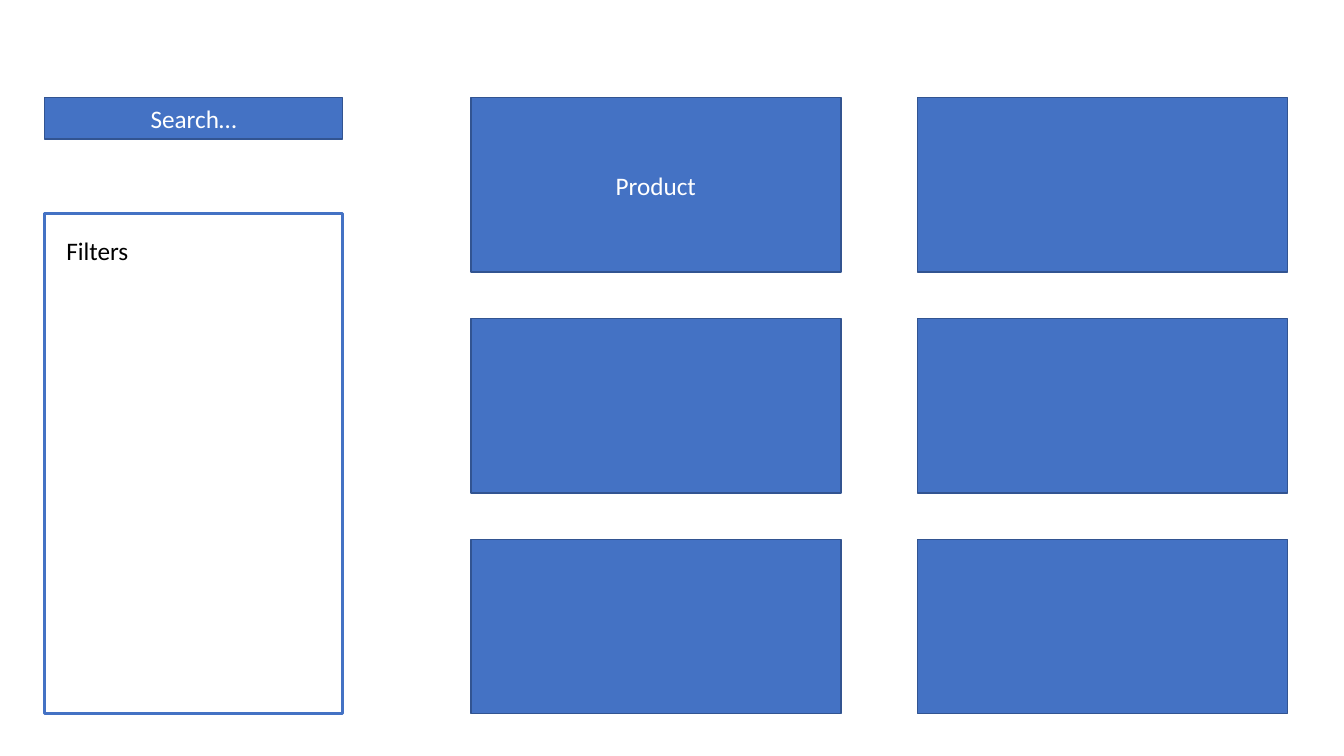
"""Build a product listing wireframe with search, filters and a grid of product cards."""
from pptx import Presentation
from pptx.dml.color import RGBColor
from pptx.enum.shapes import MSO_SHAPE
from pptx.enum.text import MSO_ANCHOR, MSO_AUTO_SIZE, PP_ALIGN
from pptx.util import Inches, Pt

COLORS = {"blue": "4472C4", "outline": "325491", "white": "FFFFFF", "black": "000000"}


def write(shape, text, color, align):
    paragraph = shape.text_frame.paragraphs[0]
    paragraph.alignment = align
    run = paragraph.add_run()
    run.text = text
    run.font.name = "Calibri"
    run.font.size = Pt(18)
    run.font.color.rgb = RGBColor.from_string(COLORS[color])


def add_box(left, top, width, height, fill="blue", line="outline", line_width=1, text=""):
    box = slide.shapes.add_shape(
        MSO_SHAPE.RECTANGLE, Inches(left), Inches(top), Inches(width), Inches(height))
    box.shadow.inherit = False
    box.fill.solid()
    box.fill.fore_color.rgb = RGBColor.from_string(COLORS[fill])
    box.line.color.rgb = RGBColor.from_string(COLORS[line])
    box.line.width = Pt(line_width)
    box.text_frame.vertical_anchor = MSO_ANCHOR.MIDDLE
    if text:
        write(box, text, "white", PP_ALIGN.CENTER)


prs = Presentation()
prs.slide_width = Inches(13.33)
prs.slide_height = Inches(7.5)
slide = prs.slides.add_slide(prs.slide_layouts[6])

SIDEBAR_LEFT, SIDEBAR_WIDTH, TOP = 0.44, 2.96, 0.97
add_box(SIDEBAR_LEFT, TOP, SIDEBAR_WIDTH, 0.41, text="Search…")
add_box(SIDEBAR_LEFT, 2.12, SIDEBAR_WIDTH, 4.96, "white", "blue", 2.25)

filters = slide.shapes.add_textbox(Inches(0.56), Inches(2.29), Inches(0.82), Inches(0.4))
filters.text_frame.word_wrap = False
filters.text_frame.auto_size = MSO_AUTO_SIZE.SHAPE_TO_FIT_TEXT
write(filters, "Filters", "black", PP_ALIGN.LEFT)

GRID_LEFT, CARD_WIDTH, CARD_HEIGHT = 4.67, 3.67, 1.73
COLUMN_STEP, ROW_STEP = 4.43, 2.19
for row in range(3):
    for column in range(2):
        add_box(GRID_LEFT + column * COLUMN_STEP, TOP + row * ROW_STEP,
                CARD_WIDTH, CARD_HEIGHT, text="Product" if row == column == 0 else "")

prs.save("out.pptx")
